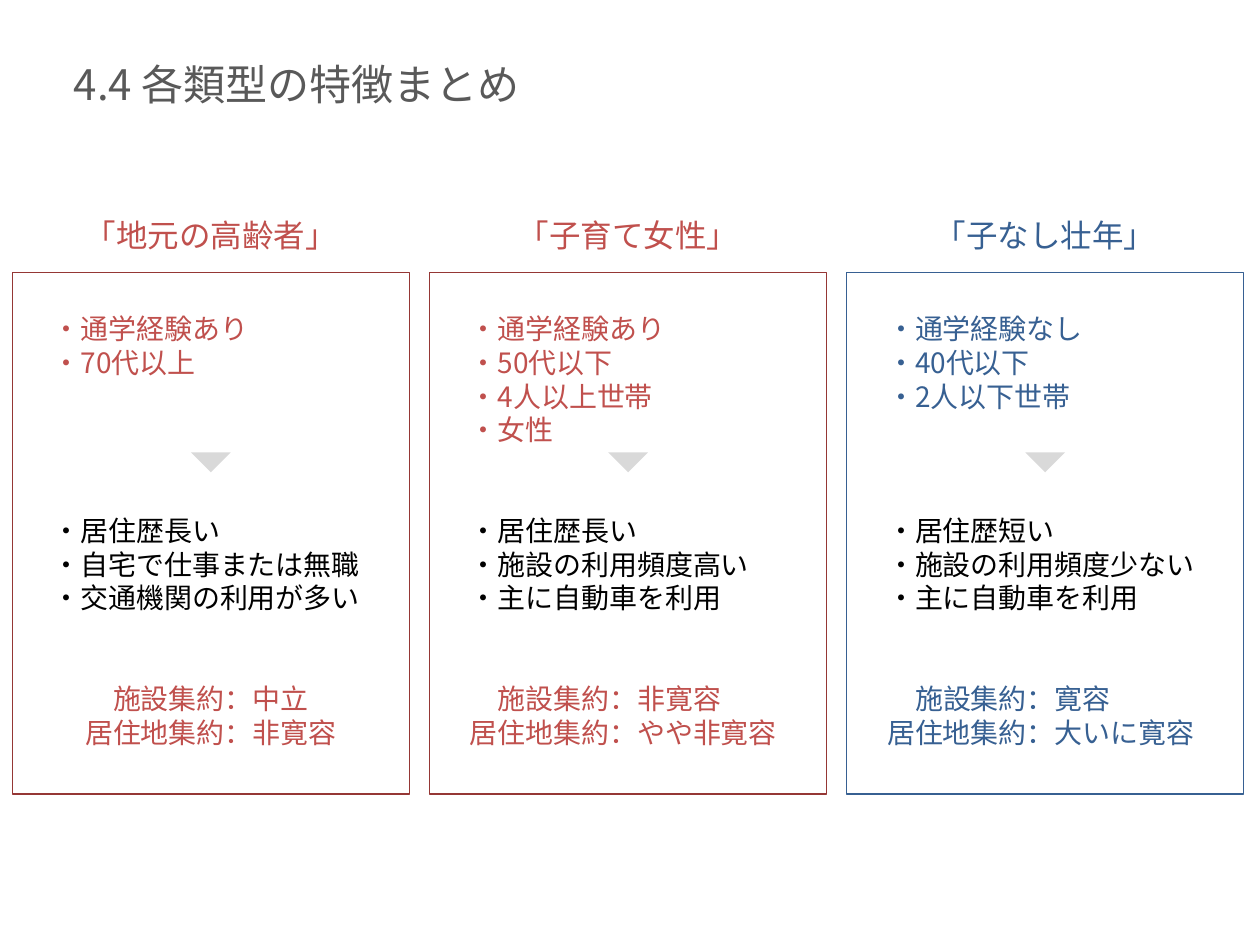
from dataclasses import dataclass

from lxml.etree import SubElement
from pptx import Presentation
from pptx.dml.color import RGBColor
from pptx.enum.shapes import MSO_SHAPE
from pptx.enum.text import MSO_ANCHOR, PP_ALIGN
from pptx.oxml.ns import qn
from pptx.util import Cm, Pt

FONT = "Noto Sans CJK JP"
COLORS = {
    "title": "595959",
    "red": "C0504D",
    "dark_red": "953735",
    "blue": "376092",
    "black": "000000",
    "arrow": "D9D9D9",
}
BODY_SIZE = 16
LINE_PITCH = 19.2
FACTS_LINE, VERDICT_LINE = 6, 11  # line numbers counted from the first trait
CARD_LEFT, CARD_STEP, CARD_WIDTH = 0.25, 8.41, 8.0
CARD_TOP, CARD_HEIGHT = 5.49, 10.52


@dataclass(frozen=True)
class Card:
    heading: str
    color: str
    border: str
    traits: tuple[str, ...]
    facts: tuple[str, ...]
    verdicts: tuple[str, str]
    centered: bool = False


CARDS = (
    Card("「地元の高齢者」", "red", "dark_red",
         ("通学経験あり", "70代以上"),
         ("居住歴長い", "自宅で仕事または無職", "交通機関の利用が多い"),
         ("施設集約：中立", "居住地集約：非寛容"), centered=True),
    Card("「子育て女性」", "red", "dark_red",
         ("通学経験あり", "50代以下", "4人以上世帯", "女性"),
         ("居住歴長い", "施設の利用頻度高い", "主に自動車を利用"),
         ("施設集約：非寛容", "居住地集約：やや非寛容")),
    Card("「子なし壮年」", "blue", "blue",
         ("通学経験なし", "40代以下", "2人以下世帯"),
         ("居住歴短い", "施設の利用頻度少ない", "主に自動車を利用"),
         ("施設集約：寛容", "居住地集約：大いに寛容")),
)


def rgb(name: str) -> RGBColor:
    return RGBColor.from_string(COLORS[name])


def write(paragraph, text: str, size: float, color: str,
          align=PP_ALIGN.LEFT, indent: int = 0) -> None:
    """Fill a paragraph; indent is counted in full-width characters."""
    paragraph.text = text
    paragraph.alignment = align
    font = paragraph.font
    font.name, font.size = FONT, Pt(size)
    font.color.rgb = rgb(color)
    properties = paragraph._p.get_or_add_pPr()
    SubElement(properties.find(qn("a:defRPr")), qn("a:ea"), typeface=FONT)
    if indent:
        properties.set("marL", str(Pt(indent * size)))
        properties.set("indent", "0")


def add_label(slide, left: float, top: float, width: float, height: float,
              text: str, size: float, color: str, align=PP_ALIGN.LEFT) -> None:
    box = slide.shapes.add_textbox(Cm(left), Cm(top), Cm(width), Cm(height))
    frame = box.text_frame
    frame.word_wrap = True
    frame.vertical_anchor = MSO_ANCHOR.MIDDLE
    frame.margin_top = frame.margin_bottom = 0
    write(frame.paragraphs[0], text, size, color, align)


def add_card(slide, card: Card, left: float) -> None:
    # Heading above the frame
    add_label(slide, left, 4.22, CARD_WIDTH, 1.02, card.heading, 18,
              card.color, PP_ALIGN.CENTER)

    # Frame
    shape = slide.shapes.add_shape(MSO_SHAPE.RECTANGLE, Cm(left), Cm(CARD_TOP),
                                   Cm(CARD_WIDTH), Cm(CARD_HEIGHT))
    shape.shadow.inherit = False
    shape.fill.background()
    shape.line.color.rgb = rgb(card.border)
    shape.line.width = Pt(0.75)

    # Traits, facts and verdicts, each group starting on its own line
    frame = shape.text_frame
    frame.word_wrap = True
    frame.vertical_anchor = MSO_ANCHOR.TOP
    frame.margin_top = Cm(0.8)
    verdict_align = PP_ALIGN.CENTER if card.centered else PP_ALIGN.LEFT
    verdict_indents = (0, 0) if card.centered else (2, 1)
    bullets = [(0, card.traits, card.color), (FACTS_LINE, card.facts, "black")]
    rows = [(start + number, f"・{text}", color, PP_ALIGN.LEFT, 1)
            for start, texts, color in bullets
            for number, text in enumerate(texts)]
    rows += [(VERDICT_LINE + number, text, card.color, verdict_align, indent)
             for number, (text, indent)
             in enumerate(zip(card.verdicts, verdict_indents))]
    next_line = 0
    for line, text, color, align, indent in rows:
        paragraph = frame.add_paragraph() if line else frame.paragraphs[0]
        write(paragraph, text, BODY_SIZE, color, align, indent)
        paragraph.line_spacing = Pt(LINE_PITCH)
        paragraph.space_before = Pt((line - next_line) * LINE_PITCH)
        next_line = line + 1

    # Arrow from traits to facts
    width = 0.8
    arrow = slide.shapes.add_shape(
        MSO_SHAPE.ISOSCELES_TRIANGLE, Cm(left + (CARD_WIDTH - width) / 2),
        Cm(9.12), Cm(width), Cm(0.4))
    arrow.rotation = 180
    arrow.shadow.inherit = False
    arrow.fill.solid()
    arrow.fill.fore_color.rgb = rgb("arrow")
    arrow.line.fill.background()


def main() -> None:
    presentation = Presentation()
    presentation.slide_width, presentation.slide_height = Cm(25.4), Cm(19.05)
    slide = presentation.slides.add_slide(presentation.slide_layouts[6])
    add_label(slide, 1.24, 1.02, 21.9, 1.32, "4.4 各類型の特徴まとめ", 24, "title")
    for number, card in enumerate(CARDS):
        add_card(slide, card, CARD_LEFT + number * CARD_STEP)
    presentation.save("out.pptx")


if __name__ == "__main__":
    main()
